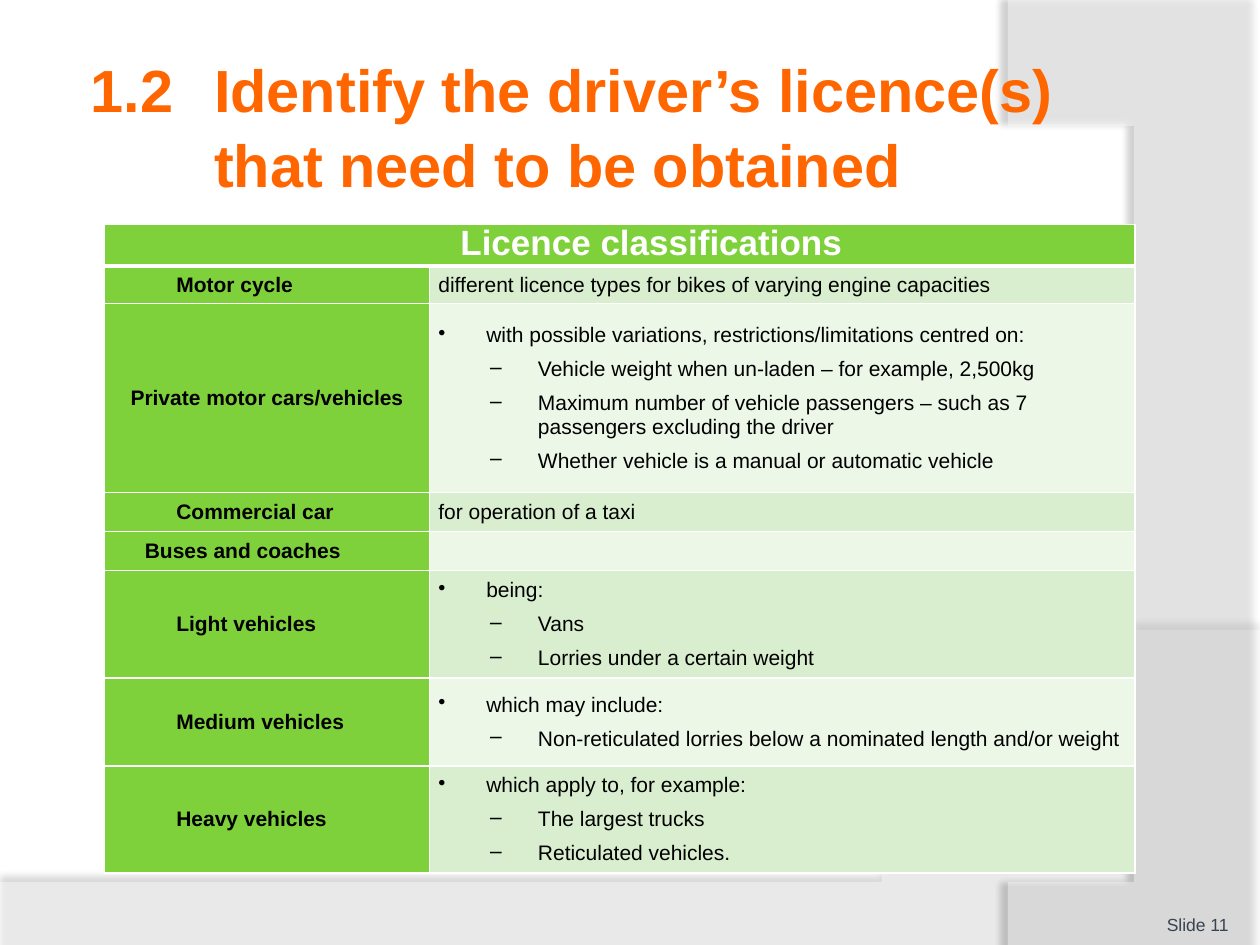
"""Build the driver's licence classification slide."""
from lxml import etree
from pptx import Presentation
from pptx import util as u
from pptx.dml.color import RGBColor
from pptx.enum import text
from pptx.oxml import ns

WHITE = RGBColor(0xFF, 0xFF, 0xFF)
BLACK = RGBColor(0, 0, 0)
ORANGE = RGBColor(0xFF, 0x66, 0x00)
SLATE = RGBColor(0x3A, 0x43, 0x52)
GREEN = RGBColor(0x7F, 0xD1, 0x3B)
BANDS = (RGBColor(0xD8, 0xEE, 0xCE), RGBColor(0xEC, 0xF7, 0xE8))
CENTER, RIGHT = text.PP_ALIGN.CENTER, text.PP_ALIGN.RIGHT
MIDDLE, BOTTOM = text.MSO_ANCHOR.MIDDLE, text.MSO_ANCHOR.BOTTOM

BULLETS = {"•": (0.38, -0.38), "–": (0.79, -0.38)}
LABEL_INDENT = (0.75, -0.25)
COLUMNS = (2.58, 5.6)
HEADER_HEIGHT = 0.33
LICENCES = [
    (0.3, "Motor cycle", {"indent": LABEL_INDENT},
     [("", "different licence types for bikes of varying engine capacities")]),
    (1.5, "Private motor cars/vehicles", {"align": CENTER},
     [("•", "with possible variations, restrictions/limitations centred on:"),
      ("–", "Vehicle weight when un-laden – for example, 2,500kg"),
      ("–", "Maximum number of vehicle passengers – such as 7 passengers excluding the driver"),
      ("–", "Whether vehicle is a manual or automatic vehicle")]),
    (0.31, "Commercial car", {"indent": LABEL_INDENT}, [("", "for operation of a taxi")]),
    (0.31, "Buses and coaches", {"indent": (0.5, -0.25)}, []),
    (0.85, "Light vehicles", {"indent": LABEL_INDENT},
     [("•", "being:"), ("–", "Vans"), ("–", "Lorries under a certain weight")]),
    (0.7, "Medium vehicles", {"indent": LABEL_INDENT},
     [("•", "which may include:"),
      ("–", "Non-reticulated lorries below a nominated length and/or weight")]),
    (0.85, "Heavy vehicles", {"indent": LABEL_INDENT},
     [("•", "which apply to, for example:"), ("–", "The largest trucks"),
      ("–", "Reticulated vehicles.")]),
]


def add_node(parent, tag, **values):
    """Append a DrawingML element with the given attributes."""
    return etree.SubElement(parent, ns.qn(f"a:{tag}"), {k: str(v) for k, v in values.items()})


def curve(start, control1, control2, end, steps=48):
    """Return points along a cubic Bezier curve, without its start."""
    points = []
    for step in range(1, steps + 1):
        t = step / steps
        weights = ((1 - t) ** 3, 3 * t * (1 - t) ** 2, 3 * t * t * (1 - t), t ** 3)
        corners = (start, control1, control2, end)
        points.append(tuple(sum(w * c[axis] for w, c in zip(weights, corners))
                            for axis in (0, 1)))
    return points


class SlideBuilder:
    """Holds the font and the current slide, and adds its elements."""

    def __init__(self, slide, font="Arial"):
        self.slide, self.font = slide, font

    def fill_paragraph(self, para, words, size, color, bold=False, align=None,
                       indent=None, bullet="", gap=0, spacing=None):
        """Fill one paragraph with a formatted run."""
        props = para._p.get_or_add_pPr()
        if indent:
            for name, value in zip(("marL", "indent"), indent):
                props.set(name, str(u.Inches(value)))
        if bullet:
            add_node(props, "buChar", char=bullet)
        layout = {"alignment": align, "line_spacing": spacing, "space_before": u.Pt(gap)}
        for name, value in layout.items():
            setattr(para, name, value)
        span = para.add_run()
        span.text = words
        for name, value in {"name": self.font, "size": u.Pt(size), "bold": bold}.items():
            setattr(span.font, name, value)
        span.font.color.rgb = color

    def text_box(self, place, words, anchor, margin, **style):
        """Add a wrapped text box with one paragraph."""
        frame = self.slide.shapes.add_textbox(*map(u.Inches, place)).text_frame
        settings = {"word_wrap": True, "vertical_anchor": anchor}
        settings.update({f"margin_{side}": u.Inches(margin)
                         for side in ("left", "top", "right", "bottom")})
        for name, value in settings.items():
            setattr(frame, name, value)
        self.fill_paragraph(frame.paragraphs[0], words, **style)

    def swoosh(self, points, opacity, shadow_opacity, distance, direction):
        """Add a translucent white outline with a soft shadow."""
        outline = self.slide.shapes.build_freeform(*points[0], scale=u.Inches(1))
        outline.add_line_segments(points[1:], close=True)
        shape = outline.convert_to_shape()
        shape.line.fill.background()
        shape.fill.solid()
        shape.fill.fore_color.rgb = WHITE
        shape.shadow.inherit = False
        props = shape._element.spPr
        add_node(props.find(f".//{ns.qn('a:srgbClr')}"), "alpha", val=opacity * 1000)
        shadow = add_node(props.find(ns.qn("a:effectLst")), "outerShdw", blurRad=u.Pt(4),
                          dist=u.Pt(distance), dir=direction * 60000, rotWithShape=0)
        tint = add_node(shadow, "srgbClr", val=BLACK)
        add_node(tint, "alpha", val=shadow_opacity * 1000)

    def cell(self, cell, fill, lines, anchor=MIDDLE, bottom=1):
        """Style a table cell and set its lines."""
        props = cell._tc.get_or_add_tcPr()
        for side, width in {"L": 1, "R": 1, "T": 1, "B": bottom}.items():
            border = add_node(props, f"ln{side}", w=u.Pt(width))
            add_node(add_node(border, "solidFill"), "srgbClr", val=WHITE)
        cell.fill.solid()
        cell.fill.fore_color.rgb = fill
        margins = {"margin_left": 0.07, "margin_right": 0.07, "margin_top": 0, "margin_bottom": 0}
        for name, value in margins.items():
            setattr(cell, name, u.Inches(value))
        cell.vertical_anchor = anchor
        frame = cell.text_frame
        for index, line in enumerate(lines):
            para = frame.add_paragraph() if index else frame.paragraphs[0]
            self.fill_paragraph(para, gap=6 if index else 0, **line)

    def licence_table(self, left, top):
        """Add the table of licence classes."""
        heights = [HEADER_HEIGHT] + [row[0] for row in LICENCES]
        place = (left, top, sum(COLUMNS), sum(heights))
        table = self.slide.shapes.add_table(len(heights), len(COLUMNS),
                                            *map(u.Inches, place)).table
        table.first_row = table.horz_banding = False
        for column, width in zip(table.columns, COLUMNS):
            column.width = u.Inches(width)
        for row, height in zip(table.rows, heights):
            row.height = u.Inches(height)
        header = {"words": "Licence classifications", "size": 20, "color": WHITE,
                  "bold": True, "align": CENTER, "indent": LABEL_INDENT}
        table.cell(0, 0).merge(table.cell(0, 1))
        self.cell(table.cell(0, 0), GREEN, [header], text.MSO_ANCHOR.TOP, bottom=3)
        self.cell(table.cell(0, 1), GREEN, [], bottom=3)
        body = {"size": 12, "color": BLACK}
        for index, (_, label, layout, details) in enumerate(LICENCES):
            name, notes = table.cell(index + 1, 0), table.cell(index + 1, 1)
            self.cell(name, GREEN, [{"words": label, "bold": True, **layout, **body}])
            self.cell(notes, BANDS[index % 2],
                      [{"words": words, "bullet": mark, "indent": BULLETS.get(mark), **body}
                       for mark, words in details])


def main():
    """Create the deck and save it."""
    deck = Presentation()
    deck.slide_width, deck.slide_height = u.Inches(10), u.Inches(7.5)
    page = SlideBuilder(deck.slides.add_slide(deck.slide_layouts[6]))
    page.swoosh([(0, 7.05), (0, 7.51), (10, 7.51), (10, 5.2)]
                + curve((10, 5.2), (5.59, 7.29), (3.91, 7.19), (0, 7.05))[:-1],
                opacity=45, shadow_opacity=35, distance=3.5, direction=270)
    page.swoosh([(10, 0.02), (10, 7.5), (8.21, 7.5)]
                + curve((8.21, 7.5), (9.35, 6.19), (10.18, 3), (8, 0)),
                opacity=40, shadow_opacity=45, distance=4, direction=180)
    page.licence_table(0.83, 1.78)
    page.text_box((0.67, 0.36, 8.17, 1.25),
                  "1.2\tIdentify the driver’s licence(s) that need to be obtained",
                  MIDDLE, 0.05, size=34, color=ORANGE, bold=True,
                  indent=(0.98, -0.98), spacing=1.05)
    page.text_box((8.92, 7.02, 0.83, 0.4), "Slide 11", BOTTOM, 0,
                  size=10, color=SLATE, align=RIGHT)
    deck.save("out.pptx")


if __name__ == "__main__":
    main()
